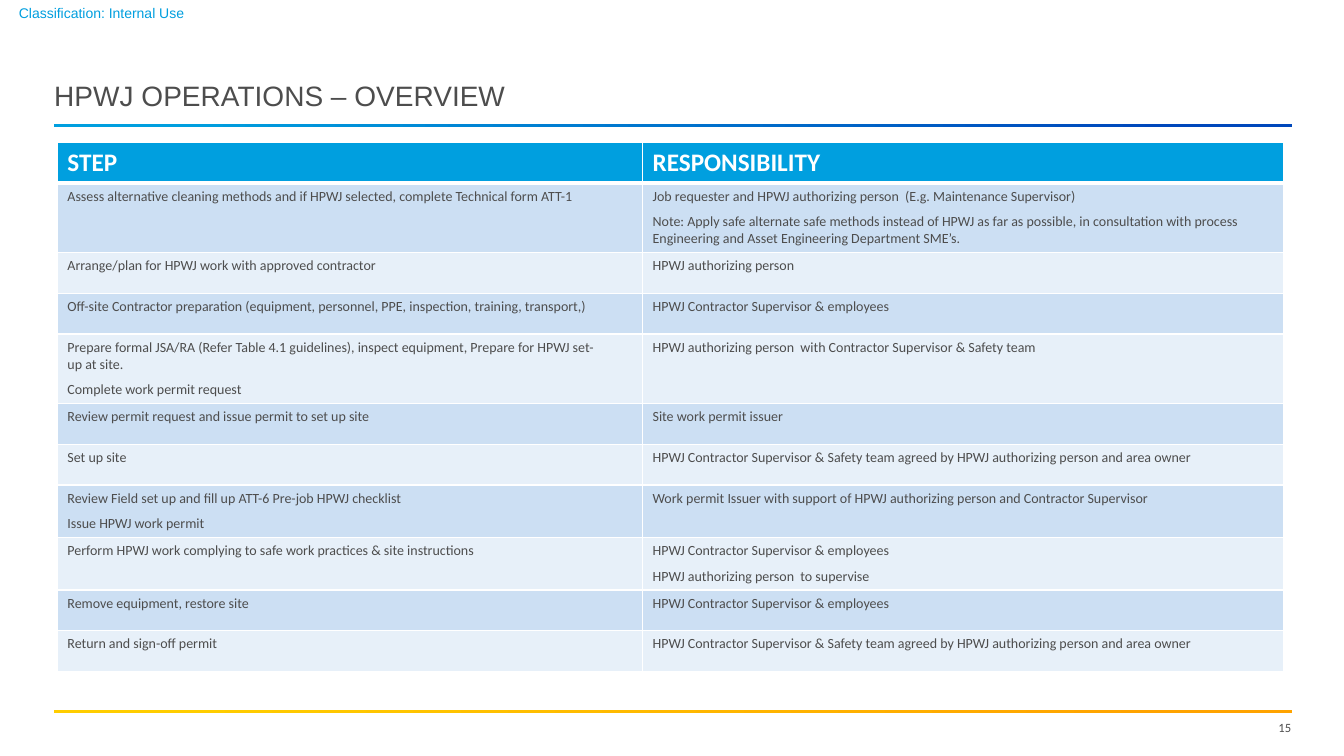
from dataclasses import dataclass

from lxml import etree
from pptx import Presentation
from pptx import util as u
from pptx.dml.color import RGBColor
from pptx.enum import shapes, text
from pptx.oxml import ns

WHITE = RGBColor(0xFF, 0xFF, 0xFF)
GREY = RGBColor(0x4D, 0x4D, 0x4D)
SKY = RGBColor(0x00, 0x9F, 0xDF)
NAVY = RGBColor(0x00, 0x47, 0xBB)
YELLOW = RGBColor(0xFF, 0xCD, 0x00)
ORANGE = RGBColor(0xFF, 0xA3, 0x00)
BAND_DARK = RGBColor(0xCC, 0xDF, 0xF3)
BAND_LIGHT = RGBColor(0xE7, 0xF0, 0xF9)


@dataclass(frozen=True)
class Label:
    words: str
    left: float
    top: float
    width: float
    height: float
    size: float
    font: str
    color: RGBColor
    left_margin: float = 0
    top_margin: float = 0
    align: text.PP_ALIGN = text.PP_ALIGN.LEFT
    anchor: text.MSO_ANCHOR = text.MSO_ANCHOR.MIDDLE
    wrap: bool = True


@dataclass(frozen=True)
class Rule:
    top: float
    start: RGBColor
    end: RGBColor


@dataclass(frozen=True)
class Step:
    """One table row; a line break starts a new paragraph."""
    action: str
    responsibility: str


LABELS = [
    Label("15", 860.4, 512.6, 61.9, 13.7, 9, "Calibri", GREY,
          align=text.PP_ALIGN.RIGHT),
    Label("Classification: Internal Use", 0, 0, 144.7, 18.7, 10, "Arial", SKY,
          left_margin=13.5),
    Label("HPWJ OPERATIONS – OVERVIEW", 31.7, 52.6, 338.4, 31.7, 20, "Arial", GREY,
          left_margin=7.2, top_margin=3.6, anchor=text.MSO_ANCHOR.TOP, wrap=False),
]
RULES = [Rule(506.9, YELLOW, ORANGE), Rule(88.6, SKY, NAVY)]
RULE_LEFT, RULE_WIDTH, RULE_HEIGHT = 38.5, 884.2, 2.2

CONTRACTOR = "HPWJ Contractor Supervisor & employees"
AGREED = ("HPWJ Contractor Supervisor & Safety team agreed by "
          "HPWJ authorizing person and area owner")
STEPS = [
    Step("STEP", "RESPONSIBILITY"),
    Step("Assess alternative cleaning methods and if HPWJ selected, "
         "complete Technical form ATT-1",
         "Job requester and HPWJ authorizing person  (E.g. Maintenance Supervisor)\n"
         "Note: Apply safe alternate safe methods instead of HPWJ as far as possible, "
         "in consultation with process Engineering and Asset Engineering "
         "Department SME’s."),
    Step("Arrange/plan for HPWJ work with approved contractor",
         "HPWJ authorizing person"),
    Step("Off-site Contractor preparation (equipment, personnel, PPE, inspection, "
         "training, transport,)", CONTRACTOR),
    Step("Prepare formal JSA/RA (Refer Table 4.1 guidelines), inspect equipment, "
         "Prepare for HPWJ set-up at site.\nComplete work permit request",
         "HPWJ authorizing person  with Contractor Supervisor & Safety team"),
    Step("Review permit request and issue permit to set up site",
         "Site work permit issuer"),
    Step("Set up site", AGREED),
    Step("Review Field set up and fill up ATT-6 Pre-job HPWJ checklist\n"
         "Issue HPWJ work permit",
         "Work permit Issuer with support of HPWJ authorizing person "
         "and Contractor Supervisor"),
    Step("Perform HPWJ work complying to safe work practices & site instructions",
         CONTRACTOR + "\nHPWJ authorizing person  to supervise"),
    Step("Remove equipment, restore site", CONTRACTOR),
    Step("Return and sign-off permit", AGREED),
]
TABLE_LEFT, TABLE_TOP = 41, 101.6
COLUMN_WIDTHS = (418, 458)
ROW_HEIGHT = 29.1
BODY_RIGHT_MARGIN = 27


def style_runs(paragraph, size: float, font: str, color: RGBColor,
               bold: bool = False) -> None:
    for run in paragraph.runs:
        run.font.size = u.Pt(size)
        run.font.name = font
        run.font.bold = bold
        run.font.color.rgb = color


def add_label(slide, label: Label) -> None:
    shape = slide.shapes.add_textbox(u.Pt(label.left), u.Pt(label.top),
                                     u.Pt(label.width), u.Pt(label.height))
    frame = shape.text_frame
    frame.word_wrap = label.wrap
    frame.vertical_anchor = label.anchor
    frame.margin_left = u.Pt(label.left_margin)
    frame.margin_top = u.Pt(label.top_margin)
    frame.margin_right = frame.margin_bottom = 0
    frame.text = label.words
    paragraph = frame.paragraphs[0]
    paragraph.alignment = label.align
    style_runs(paragraph, label.size, label.font, label.color)


def add_rule(slide, rule: Rule) -> None:
    shape = slide.shapes.add_shape(
        shapes.MSO_SHAPE.RECTANGLE, u.Pt(RULE_LEFT), u.Pt(rule.top),
        u.Pt(RULE_WIDTH), u.Pt(RULE_HEIGHT))
    shape.shadow.inherit = False
    shape.line.fill.background()
    shape.fill.gradient()
    shape.fill.gradient_angle = 0
    stops = zip(shape.fill.gradient_stops, (0.1, 0.9), (rule.start, rule.end))
    for stop, position, color in stops:
        stop.position = position
        stop.color.rgb = color


def set_borders(cell, top: float, bottom: float) -> None:
    """Draw white borders, 1 pt at the sides; call before filling the cell."""
    properties = cell._tc.get_or_add_tcPr()
    for tag, width in (("a:lnL", 1), ("a:lnR", 1), ("a:lnT", top), ("a:lnB", bottom)):
        line = etree.SubElement(properties, ns.qn(tag), w=str(u.Pt(width)))
        fill = etree.SubElement(line, ns.qn("a:solidFill"))
        etree.SubElement(fill, ns.qn("a:srgbClr"), val=str(WHITE))


def fill_cell(cell, words: str, row: int) -> None:
    header = row == 0
    set_borders(cell, top=3 if row == 1 else 1, bottom=3 if header else 1)
    cell.fill.solid()
    cell.fill.fore_color.rgb = SKY if header else (BAND_LIGHT, BAND_DARK)[row % 2]
    cell.text_frame.text = words
    if not header:
        cell.margin_right = u.Pt(BODY_RIGHT_MARGIN)
    for index, paragraph in enumerate(cell.text_frame.paragraphs):
        if header:
            style_runs(paragraph, 18, "Calibri", WHITE, bold=True)
        else:
            paragraph.space_before = u.Pt(3 if index else 0)
            paragraph.space_after = u.Pt(3)
            style_runs(paragraph, 10, "Calibri", GREY)


def add_steps_table(slide) -> None:
    table = slide.shapes.add_table(
        len(STEPS), len(COLUMN_WIDTHS), u.Pt(TABLE_LEFT), u.Pt(TABLE_TOP),
        u.Pt(sum(COLUMN_WIDTHS)), u.Pt(ROW_HEIGHT * len(STEPS))).table
    for column, width in zip(table.columns, COLUMN_WIDTHS):
        column.width = u.Pt(width)
    for row, step in enumerate(STEPS):
        table.rows[row].height = u.Pt(ROW_HEIGHT)
        for column, words in enumerate((step.action, step.responsibility)):
            fill_cell(table.cell(row, column), words, row)


def main() -> None:
    presentation = Presentation()
    presentation.slide_width = u.Pt(960)
    presentation.slide_height = u.Pt(540)
    slide = presentation.slides.add_slide(presentation.slide_layouts[6])
    for rule in RULES:
        add_rule(slide, rule)
    add_steps_table(slide)
    for label in LABELS:
        add_label(slide, label)
    presentation.save("out.pptx")


if __name__ == "__main__":
    main()
